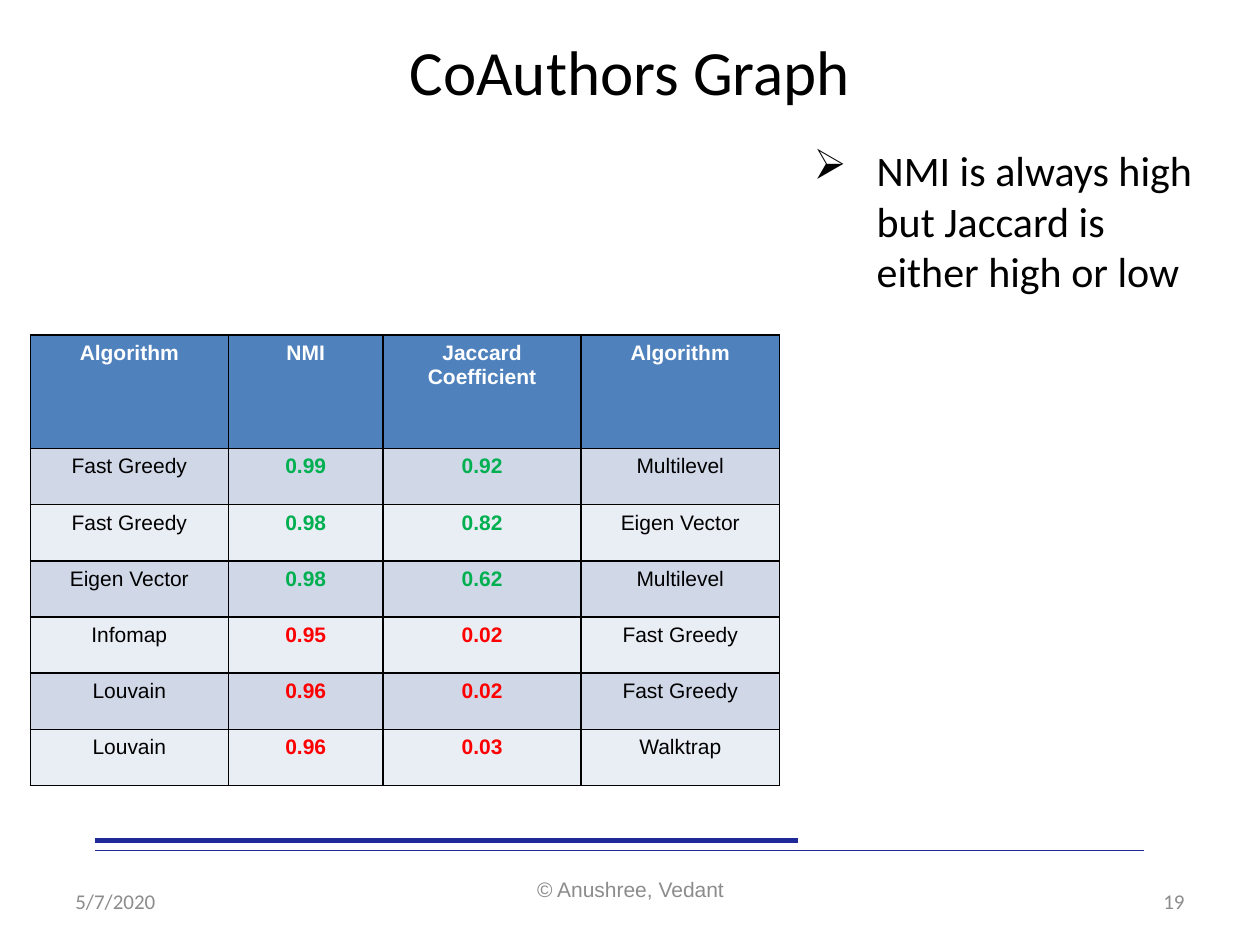
import dataclasses

import lxml.etree
import pptx
import pptx.dml.color
import pptx.enum.shapes
import pptx.enum.text
import pptx.oxml
import pptx.oxml.ns
import pptx.util

COLS, ROWS = 100, 75
BLACK, WHITE, GREY, NAVY = "000000", "FFFFFF", "8C8C8C", "202998"
GREEN, RED = "00B050", "FF0000"
HEAD_FILL, BANDS = "4F81BD", ("D0D8E8", "E9EDF4")
ALIGN = pptx.enum.text.PP_ALIGN
ANCHOR = pptx.enum.text.MSO_ANCHOR

prs = pptx.Presentation()
prs.slide_width = pptx.util.Inches(10)
prs.slide_height = pptx.util.Inches(7.5)


@dataclasses.dataclass(frozen=True)
class Label:
    """Text box placed in grid columns and rows."""
    text: str
    box: tuple[float, float, float, float]
    size: float
    color: str = BLACK
    font: str = "Calibri"
    align: ALIGN = ALIGN.LEFT
    anchor: ANCHOR = ANCHOR.MIDDLE
    bullet: str = ""


@dataclasses.dataclass(frozen=True)
class Rule:
    """Horizontal line from one column to another."""
    row: float
    start: float
    end: float
    width: float


@dataclasses.dataclass(frozen=True)
class Comparison:
    """Similarity scores of two community detection algorithms."""
    first: str
    nmi: str
    jaccard: str
    second: str
    score_color: str


LABELS = [
    Label("CoAuthors Graph", (5, 1.7, 90, 7.8), 36, align=ALIGN.CENTER),
    Label("NMI is always high but Jaccard is either high or low",
          (63.6, 11, 33.4, 20), 24, anchor=ANCHOR.TOP, bullet="➢"),
    Label("5/7/2020", (5, 69.5, 23.3, 4), 12, GREY),
    Label("© Anushree, Vedant", (34.2, 68.6, 31.7, 4), 12, GREY, "Arial", ALIGN.CENTER),
    Label("19", (71.7, 69.5, 23.3, 4), 12, GREY, align=ALIGN.RIGHT),
]
RULES = [Rule(67.5, 7.5, 90.8, 0.75), Rule(66.7, 7.5, 63.3, 3)]
HEADINGS = ("Algorithm", "NMI", "Jaccard Coefficient", "Algorithm")
COMPARISONS = [
    Comparison("Fast Greedy", "0.99", "0.92", "Multilevel", GREEN),
    Comparison("Fast Greedy", "0.98", "0.82", "Eigen Vector", GREEN),
    Comparison("Eigen Vector", "0.98", "0.62", "Multilevel", GREEN),
    Comparison("Infomap", "0.95", "0.02", "Fast Greedy", RED),
    Comparison("Louvain", "0.96", "0.02", "Fast Greedy", RED),
    Comparison("Louvain", "0.96", "0.03", "Walktrap", RED),
]
TABLE_LEFT, TABLE_TOP = 2.4, 26.6
COL_WIDTHS = (15.73, 12.27, 15.73, 15.73)
HEAD_HEIGHT, ROW_HEIGHT = 9, 4.46


def rgb(color: str) -> pptx.dml.color.RGBColor:
    """Turn a hex string into a colour."""
    return pptx.dml.color.RGBColor.from_string(color)


def col(n: float) -> int:
    """Length of n grid columns."""
    return round(prs.slide_width * n / COLS)


def row(n: float) -> int:
    """Length of n grid rows."""
    return round(prs.slide_height * n / ROWS)


def style(p, size: float, color: str, font: str, align: ALIGN, bold: bool = False) -> None:
    """Format a paragraph and its runs."""
    p.alignment = align
    for r in p.runs:
        r.font.size = pptx.util.Pt(size)
        r.font.name = font
        r.font.bold = bold
        r.font.color.rgb = rgb(color)


def add_label(s, label: Label) -> None:
    """Draw a text box, with a hanging bullet if one is given."""
    x, y, w, h = label.box
    tf = s.shapes.add_textbox(col(x), row(y), col(w), row(h)).text_frame
    tf.word_wrap = True
    tf.vertical_anchor = label.anchor
    tf.text = label.text
    p = tf.paragraphs[0]
    if label.bullet:
        pPr = p._p.get_or_add_pPr()
        pPr.set("marL", str(col(5)))
        pPr.set("indent", str(-col(5)))
        bullet = lxml.etree.SubElement(pPr, pptx.oxml.ns.qn("a:buChar"))
        bullet.set("char", label.bullet)
    style(p, label.size, label.color, label.font, label.align)


def add_rule(s, rule: Rule) -> None:
    """Draw a horizontal line without a shadow."""
    line = s.shapes.add_connector(
        pptx.enum.shapes.MSO_CONNECTOR.STRAIGHT,
        col(rule.start), row(rule.row), col(rule.end), row(rule.row))
    line.line.color.rgb = rgb(NAVY)
    line.line.width = pptx.util.Pt(rule.width)
    lxml.etree.SubElement(line._element.spPr, pptx.oxml.ns.qn("a:effectLst"))


def fill_cell(cell, text: str, fill: str, color: str, bold: bool) -> None:
    """Write one bordered table cell."""
    cell.text = text
    style(cell.text_frame.paragraphs[0], 12, color, "Arial", ALIGN.CENTER, bold)
    tcPr = cell._tc.get_or_add_tcPr()
    for side in ("lnL", "lnR", "lnT", "lnB"):
        tcPr.append(pptx.oxml.parse_xml(
            f'<a:{side} {pptx.oxml.ns.nsdecls("a")} w="{pptx.util.Pt(1)}">'
            f'<a:solidFill><a:srgbClr val="{BLACK}"/></a:solidFill></a:{side}>'))
    cell.fill.solid()
    cell.fill.fore_color.rgb = rgb(fill)


def add_comparisons(s, comparisons: list[Comparison]) -> None:
    """Draw the table of algorithm pairs."""
    height = HEAD_HEIGHT + ROW_HEIGHT * len(comparisons)
    table = s.shapes.add_table(
        len(comparisons) + 1, len(HEADINGS), col(TABLE_LEFT), row(TABLE_TOP),
        col(sum(COL_WIDTHS)), row(height)).table
    for column, width in zip(table.columns, COL_WIDTHS):
        column.width = col(width)
    for i, line in enumerate(table.rows):
        line.height = row(ROW_HEIGHT if i else HEAD_HEIGHT)
    for j, heading in enumerate(HEADINGS):
        fill_cell(table.cell(0, j), heading, HEAD_FILL, WHITE, True)
    for i, c in enumerate(comparisons):
        for j, text in enumerate((c.first, c.nmi, c.jaccard, c.second)):
            is_score = j in (1, 2)
            fill_cell(table.cell(i + 1, j), text, BANDS[i % 2],
                      c.score_color if is_score else BLACK, is_score)


def main() -> None:
    """Build and save the slide."""
    s = prs.slides.add_slide(prs.slide_layouts[6])
    for rule in RULES:
        add_rule(s, rule)
    for label in LABELS:
        add_label(s, label)
    add_comparisons(s, COMPARISONS)
    prs.save("out.pptx")


if __name__ == "__main__":
    main()
